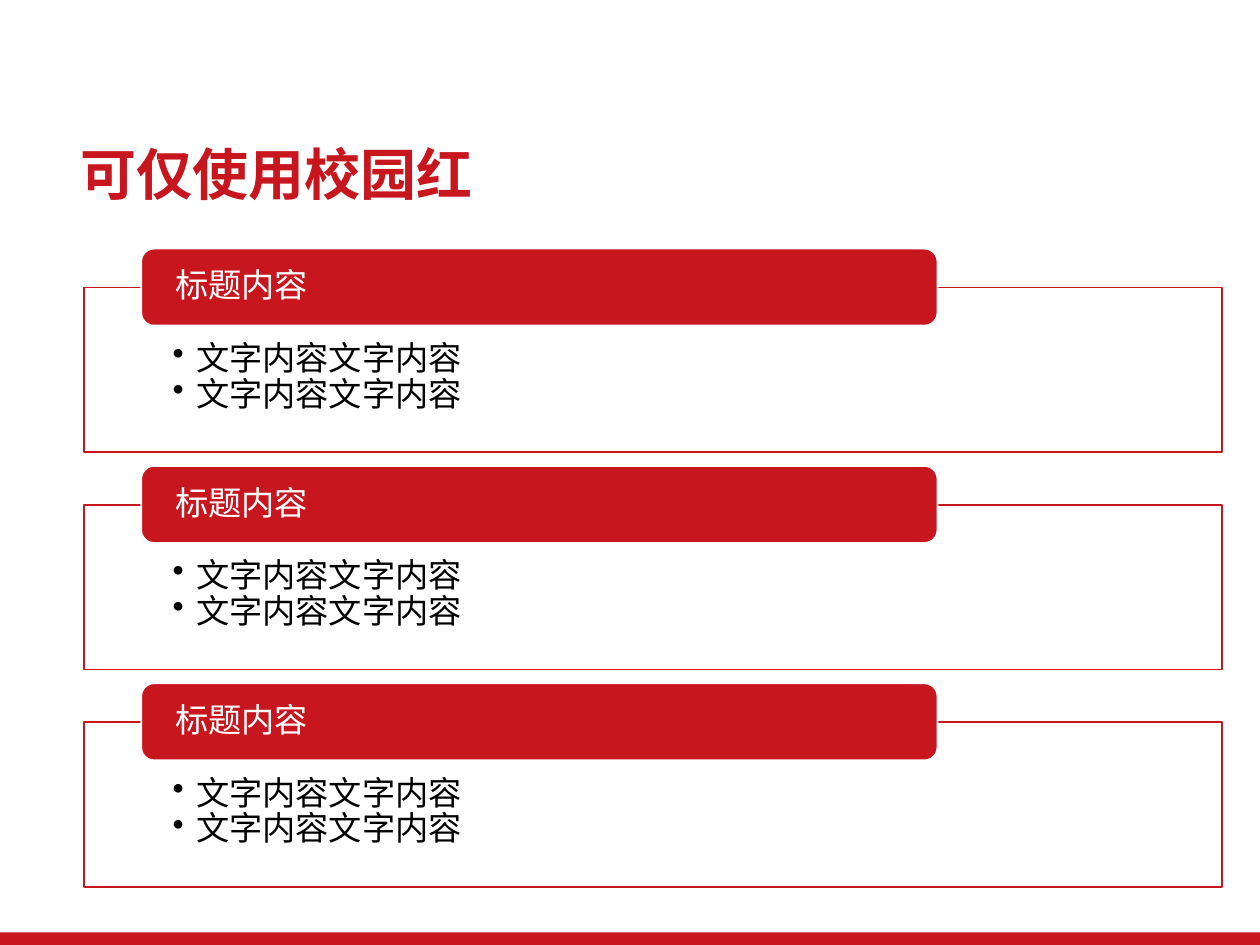
from dataclasses import dataclass

from lxml import etree
from pptx import Presentation
from pptx.dml.color import RGBColor
from pptx.enum.shapes import MSO_SHAPE
from pptx.enum.text import MSO_ANCHOR, PP_ALIGN
from pptx.oxml.ns import qn
from pptx.util import Pt

RECTANGLE = MSO_SHAPE.RECTANGLE
ROUNDED = MSO_SHAPE.ROUNDED_RECTANGLE
TOP, MIDDLE, BOTTOM = MSO_ANCHOR.TOP, MSO_ANCHOR.MIDDLE, MSO_ANCHOR.BOTTOM
LEFT = PP_ALIGN.LEFT


@dataclass(frozen=True)
class Theme:
    red: RGBColor = RGBColor(0xC8, 0x16, 0x1E)
    bar_red: RGBColor = RGBColor(0xC9, 0x15, 0x1E)
    white: RGBColor = RGBColor(0xFF, 0xFF, 0xFF)
    black: RGBColor = RGBColor(0x00, 0x00, 0x00)
    font: str = "Noto Sans CJK SC"
    title_size: float = 32
    text_size: float = 19
    line_spacing: float = 0.9


THEME = Theme()
SECTIONS = [("标题内容", ["文字内容文字内容", "文字内容文字内容"])] * 3
FIRST_TOP = 164.2
SECTION_PITCH = 124.2
HEADER_RISE = 22.1


def add_box(slide, preset, bounds, fill, line=None):
    box = slide.shapes.add_shape(preset, *map(Pt, bounds))
    box.shadow.inherit = False
    box.fill.solid()
    box.fill.fore_color.rgb = fill
    if line is None:
        box.line.fill.background()
    else:
        box.line.color.rgb = line
        box.line.width = Pt(1)
    return box


def write_lines(box, lines, size, color, anchor, insets, bold=False):
    """Fill the box with one paragraph a line; insets run left, top, right, bottom."""
    frame = box.text_frame
    frame.word_wrap = True
    frame.vertical_anchor = anchor
    (frame.margin_left, frame.margin_top,
     frame.margin_right, frame.margin_bottom) = map(Pt, insets)
    frame.text = "\n".join(lines)
    for para in frame.paragraphs:
        para.alignment = LEFT
        para.line_spacing = THEME.line_spacing
        font = para.font
        font.name = THEME.font
        font.size = Pt(size)
        font.bold = bold
        font.color.rgb = color
        set_east_asian_font(para)


def set_east_asian_font(para):
    latin = para.font._element.find(qn("a:latin"))
    east_asian = etree.Element(qn("a:ea"), typeface=THEME.font)
    latin.addnext(east_asian)


def add_bullet(para, indent):
    para.level = 1
    properties = para._p.get_or_add_pPr()
    properties.set("marL", str(Pt(indent)))
    properties.set("indent", str(-Pt(indent)))
    bullet = etree.Element(qn("a:buChar"), char="•")
    properties.find(qn("a:defRPr")).addprevious(bullet)


def add_title(slide, text):
    box = slide.shapes.add_textbox(Pt(38.9), Pt(77), Pt(659.5), Pt(45.4))
    write_lines(box, [text], THEME.title_size, THEME.red, BOTTOM,
                (7.2, 3.6, 7.2, 3.6), bold=True)


def add_section(slide, top, heading, items):
    body = add_box(slide, RECTANGLE, (48.2, top, 650.2, 94.2), THEME.white, THEME.red)
    write_lines(body, items, THEME.text_size, THEME.black, TOP, (50.5, 31, 50.5, 10.8))
    for para in body.text_frame.paragraphs:
        add_bullet(para, 13.5)

    header = add_box(slide, ROUNDED, (80.7, top - HEADER_RISE, 455, 44),
                     THEME.red, THEME.white)
    write_lines(header, [heading], THEME.text_size, THEME.white, MIDDLE,
                (17.2, 0, 17.2, 0))


def main():
    deck = Presentation()
    deck.slide_width, deck.slide_height = Pt(720), Pt(540)
    slide = deck.slides.add_slide(deck.slide_layouts[6])

    add_box(slide, RECTANGLE, (0, 532.8, 720, 7.2), THEME.bar_red)
    add_title(slide, "可仅使用校园红")
    for index, (heading, items) in enumerate(SECTIONS):
        add_section(slide, FIRST_TOP + index * SECTION_PITCH, heading, items)

    deck.save("out.pptx")


if __name__ == "__main__":
    main()
